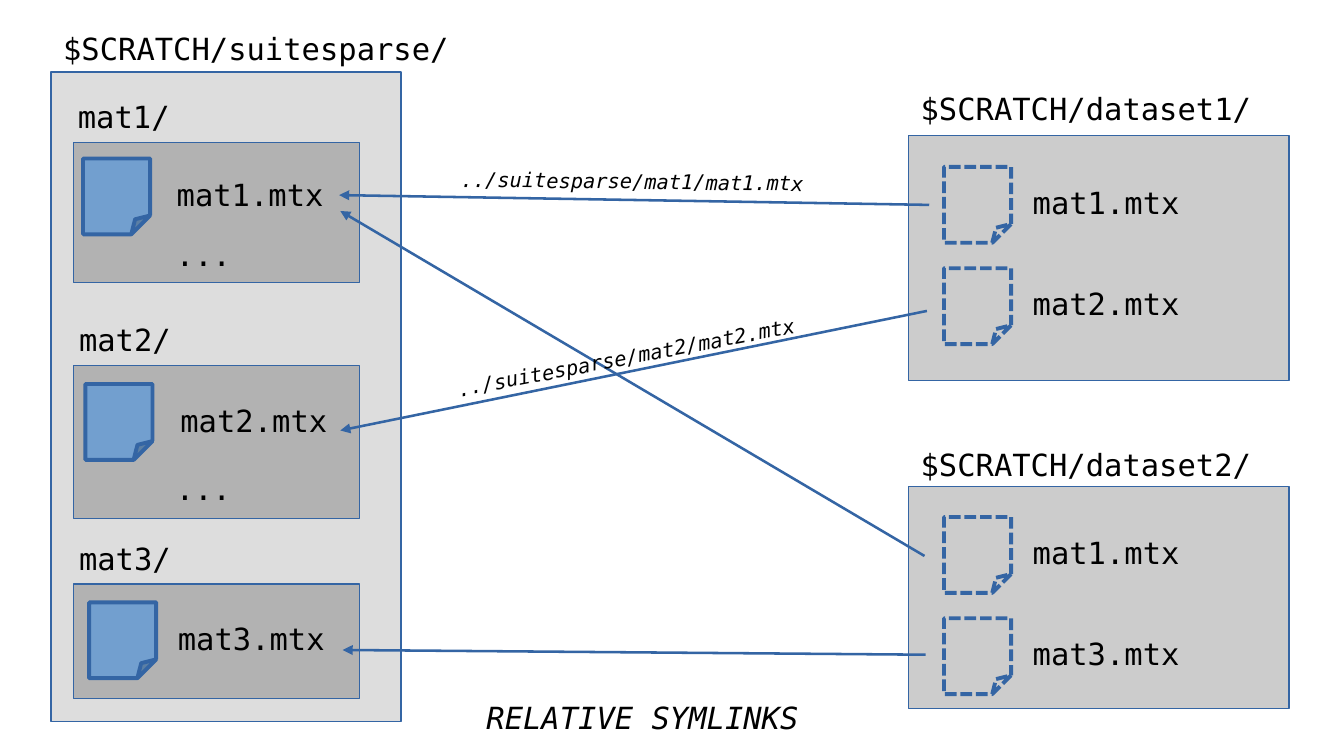
"""Draw the symlink layout between dataset folders and the matrix store."""
from dataclasses import dataclass

from lxml import etree
from pptx import Presentation
from pptx import util as u
from pptx.dml.color import RGBColor
from pptx.enum import dml, shapes, text
from pptx.oxml.ns import qn


@dataclass(frozen=True)
class Theme:
    """Colours, font and type sizes."""
    ink: str = "000000"
    edge: str = "3465A4"
    file: str = "729FCF"
    store: str = "DDDDDD"
    folder: str = "B2B2B2"
    dataset: str = "CCCCCC"
    font: str = "DejaVu Sans Mono"
    body: float = 18
    small: float = 12


class Diagram:
    """Style and current slide, with one method per kind of element."""

    def __init__(self, slide, theme):
        """Keep the slide and the theme."""
        self.slide, self.theme = slide, theme

    def outline(self, line, width):
        """Give a line the edge colour and a width."""
        line.color.rgb = RGBColor.from_string(self.theme.edge)
        line.width = u.Pt(width)

    def shape(self, kind, box, fill, width):
        """Add a preset shape, unfilled when fill is None."""
        shape = self.slide.shapes.add_shape(kind, *map(u.Pt, box))
        shape.shadow.inherit = False
        if fill:
            shape.fill.solid()
            shape.fill.fore_color.rgb = RGBColor.from_string(fill)
        else:
            shape.fill.background()
        self.outline(shape.line, width)
        return shape

    def panel(self, box, fill):
        """Add a hairline rectangle."""
        self.shape(shapes.MSO_SHAPE.RECTANGLE, box, fill, 0)

    def note(self, left, top, linked=False):
        """Add a file icon, dashed when it is a link."""
        fill = None if linked else self.theme.file
        note = self.shape(shapes.MSO_SHAPE.FOLDED_CORNER, (left, top, 39.6, 44.8), fill, 2.3)
        guides = next(note._element.iter(qn("a:avLst")))
        etree.SubElement(guides, qn("a:gd"), name="adj", fmla="val 28000")
        if linked:
            note.line.dash_style = dml.MSO_LINE.SQUARE_DOT

    def label(self, words, left, top, width, height=31.7, rotation=0, **font):
        """Add a line of text."""
        shape = self.slide.shapes.add_textbox(*map(u.Pt, (left, top, width, height)))
        shape.rotation = rotation
        frame = shape.text_frame
        frame.word_wrap = True
        frame.auto_size = text.MSO_AUTO_SIZE.SHAPE_TO_FIT_TEXT
        run = frame.paragraphs[0].add_run()
        run.text = words
        run.font.color.rgb = RGBColor.from_string(self.theme.ink)
        style = {"name": self.theme.font, "size": u.Pt(self.theme.body), **font}
        for name, value in style.items():
            setattr(run.font, name, value)

    def arrow(self, start, end):
        """Add a straight arrow from start to end."""
        arrow = self.slide.shapes.add_connector(
            shapes.MSO_CONNECTOR.STRAIGHT, *map(u.Pt, (*start, *end)))
        self.outline(arrow.line, 1.5)
        etree.SubElement(arrow.get_or_add_ln(), qn("a:tailEnd"), type="triangle")
        etree.SubElement(arrow._element.spPr, qn("a:effectLst"))

    def folder(self, name, top, height, title_left, note, label_left):
        """Add a matrix folder with its real file."""
        self.panel((43.2, top, 169.2, height), self.theme.folder)
        self.label(f"{name}/", title_left, top - 29.7, 83.5)
        self.note(*note)
        self.label(f"{name}.mtx", label_left, note[1] + 6.8, 106)

    def dataset(self, name, title_top, top, height, first_note, files):
        """Add a dataset folder with its linked files."""
        self.panel((536.4, top, 224.6, height), self.theme.dataset)
        self.label(f"$SCRATCH/{name}/", 536.4, title_top, 224.6)
        for row, file in enumerate(files):
            note_top = first_note + row * 59.8
            self.note(557.3, note_top, linked=True)
            self.label(f"{file}.mtx", 602.6, note_top + 6.5, 112.3)


FOLDERS = [
    ("mat1", 84.2, 82.8, 38.9, (49, 93.6), 97.2),
    ("mat2", 216, 90, 39.6, (50.4, 226.8), 99.4),
    ("mat3", 344.9, 67.7, 39.6, (52.6, 355.7), 97.9),
]
DATASETS = [
    ("dataset1", 49.7, 79.9, 144.7, 98.6, ("mat1", "mat2")),
    ("dataset2", 259.9, 287.3, 131, 305.3, ("mat1", "mat3")),
]
ARROWS = [
    ((548.6, 121), (200.2, 115.2)),
    ((547.2, 183.6), (200.9, 254.2)),
    ((546.5, 386.6), (202.3, 383.8)),
    ((545.8, 328.3), (200.9, 124.6)),
]
LINK_LABELS = [("mat1", 265, 96.5, 0.8), ("mat2", 261.4, 198, 349.2)]


def main():
    """Build and save the slide."""
    presentation = Presentation()
    presentation.slide_width, presentation.slide_height = u.Pt(793.44), u.Pt(446.4)
    theme = Theme()
    diagram = Diagram(presentation.slides.add_slide(presentation.slide_layouts[6]), theme)
    diagram.panel((30.2, 42.5, 206.6, 383.8), theme.store)
    diagram.label("$SCRATCH/suitesparse/", 30.2, 14.4, 259.2)
    for folder in FOLDERS:
        diagram.folder(*folder)
    for top in (136.1, 274.3):
        diagram.label("...", 96.8, top, 100)
    for dataset in DATASETS:
        diagram.dataset(*dataset)
    for start, end in ARROWS:
        diagram.arrow(start, end)
    diagram.label("RELATIVE SYMLINKS", 280.1, 409, 206.6, italic=True)
    for name, left, top, rotation in LINK_LABELS:
        diagram.label(f"../suitesparse/{name}/{name}.mtx", left, top, 239, 23.8,
                      rotation, size=u.Pt(theme.small), italic=True)
    presentation.save("out.pptx")


if __name__ == "__main__":
    main()
